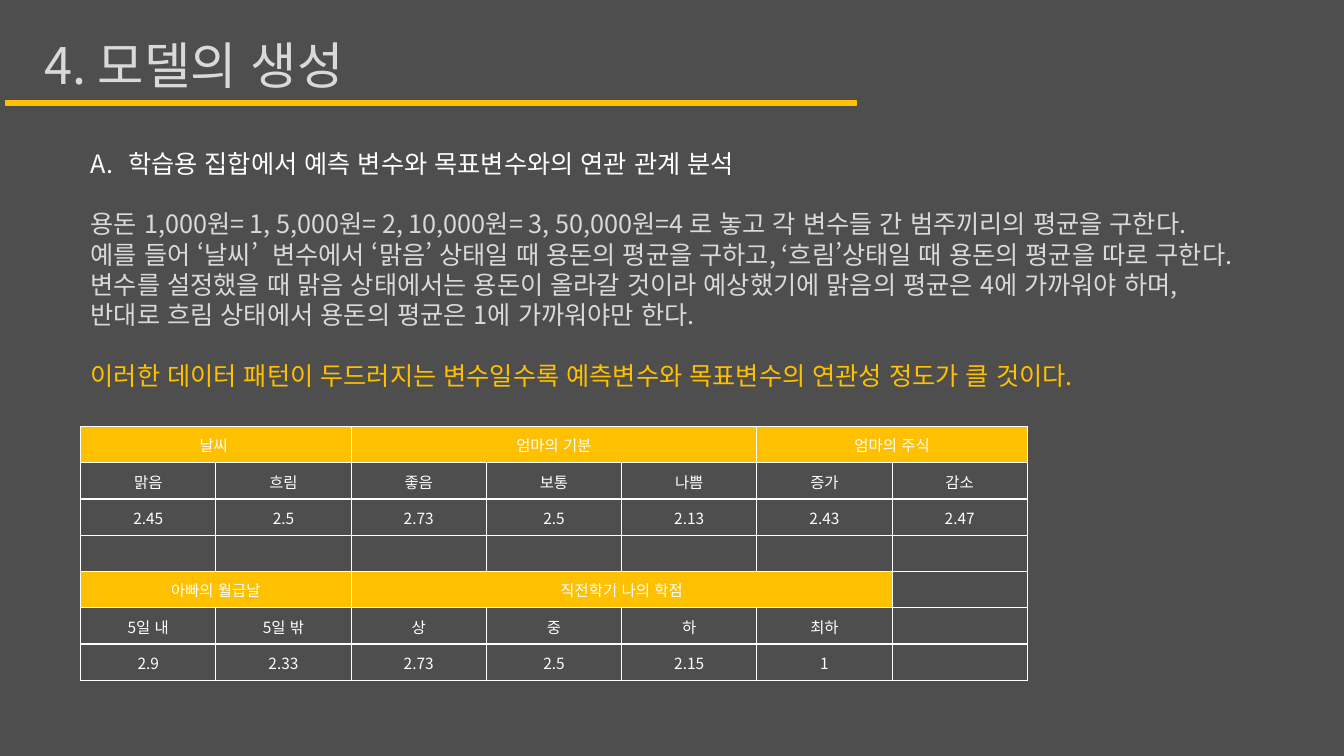
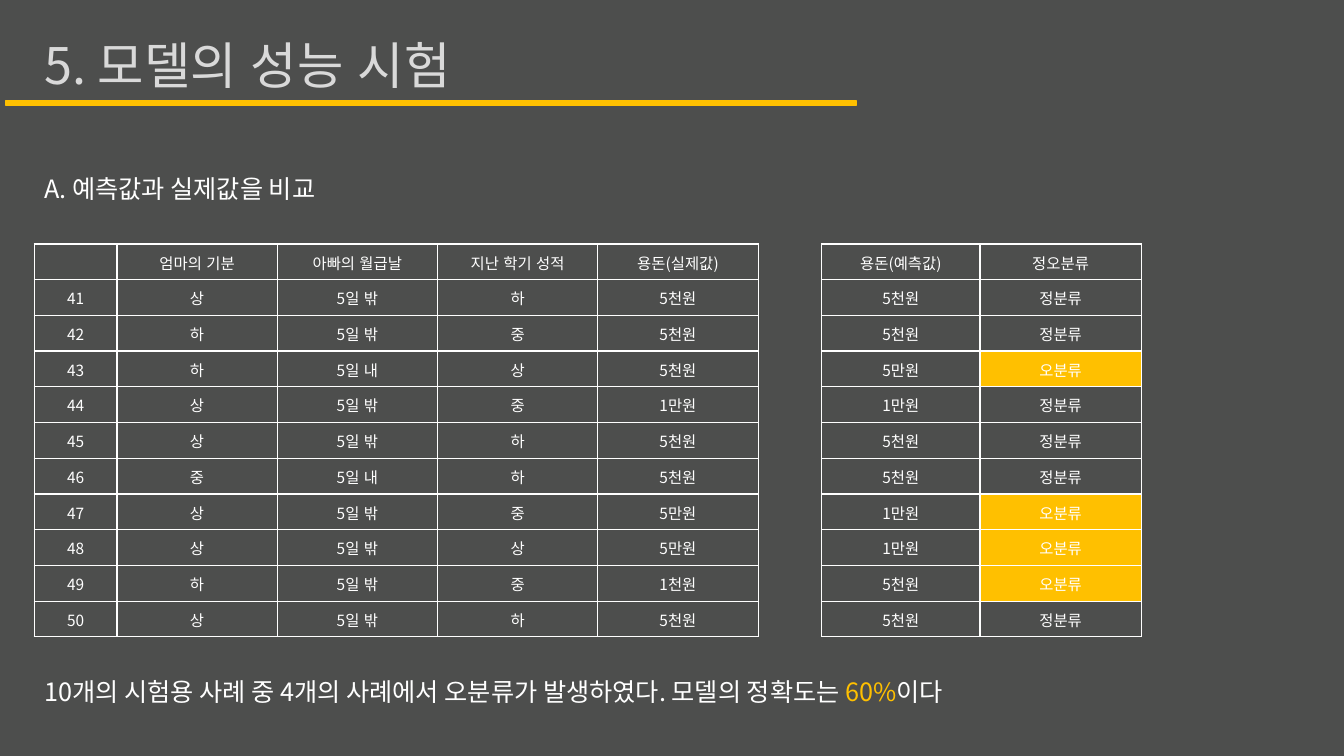
from lxml.etree import SubElement
from pptx import Presentation
from pptx.dml.color import RGBColor
from pptx.enum.lang import MSO_LANGUAGE_ID as LANGUAGE
from pptx.enum.shapes import MSO_SHAPE
from pptx.enum.text import MSO_ANCHOR, MSO_AUTO_SIZE, PP_ALIGN
from pptx.oxml import parse_xml
from pptx.oxml.ns import nsdecls, qn
from pptx.util import Inches, Pt

COLORS = {"background": "4D4E4D", "accent": "FFC000", "soft": "D9D9D9", "white": "FFFFFF"}
FONT = "Noto Sans CJK KR"


def add_text(paragraph, text, size=18, color="white", align=PP_ALIGN.LEFT, before=0,
             language=LANGUAGE.KOREAN):
    paragraph.alignment = align
    paragraph.space_before = Pt(before)
    run = paragraph.add_run()
    run.text = text
    run.font.size = Pt(size)
    run.font.name = FONT
    run.font.language_id = language
    run.font.color.rgb = RGBColor.from_string(COLORS[color])
    SubElement(run.font._element, qn("a:ea"), typeface=FONT)


def add_grid(slide, left, top, widths, row_height, rows, accented, spans=()):
    frame = slide.shapes.add_table(
        len(rows), len(widths), Inches(left), Inches(top),
        Inches(sum(widths)), Inches(row_height * len(rows)))
    grid = frame.table
    grid.first_row = grid.horz_banding = False
    for column, width in zip(grid.columns, widths):
        column.width = Inches(width)
    for r, row in enumerate(rows):
        grid.rows[r].height = Inches(row_height)
        for c, text in enumerate(row):
            cell = grid.cell(r, c)
            cell.margin_left = cell.margin_right = cell.margin_top = Inches(0.01)
            cell.margin_bottom = 0
            cell.vertical_anchor = MSO_ANCHOR.MIDDLE
            for side in ("lnL", "lnR", "lnT", "lnB"):
                cell._tc.get_or_add_tcPr().append(parse_xml(
                    f'<a:{side} {nsdecls("a")} w="12700"><a:solidFill>'
                    f'<a:srgbClr val="{COLORS["white"]}"/></a:solidFill></a:{side}>'))
            if text in accented:
                cell.fill.solid()
                cell.fill.fore_color.rgb = RGBColor.from_string(COLORS["accent"])
            else:
                cell.fill.background()
            if text:
                add_text(cell.text_frame.paragraphs[0], text, size=11, align=PP_ALIGN.CENTER)
    for r, first, last in spans:
        grid.cell(r, first).merge(grid.cell(r, last))


prs = Presentation()
prs.slide_width, prs.slide_height = Inches(13.33), Inches(7.5)
backdrop = prs.slide_master.background.fill
backdrop.solid()
backdrop.fore_color.rgb = RGBColor.from_string(COLORS["background"])

slides = []
for layout, heading in ((1, "4. 모델의 생성"), (5, "5. 모델의 성능 시험")):
    slide = prs.slides.add_slide(prs.slide_layouts[layout])
    slides.append(slide)
    title = slide.shapes.title
    title.left, title.top, title.width, title.height = map(Inches, (0.34, 0.29, 10.83, 0.71))
    title.text_frame.vertical_anchor = MSO_ANCHOR.TOP
    title.text_frame.auto_size = MSO_AUTO_SIZE.SHAPE_TO_FIT_TEXT
    add_text(title.text_frame.paragraphs[0], heading, size=36, color="soft")
    underline = slide.shapes.add_shape(MSO_SHAPE.RECTANGLE, *map(Inches, (0.06, 1, 8.43, 0.05)))
    underline.shadow.inherit = False
    underline.fill.solid()
    underline.fill.fore_color.rgb = RGBColor.from_string(COLORS["accent"])
    underline.line.color.rgb = RGBColor.from_string(COLORS["accent"])
    underline.line.width = Pt(1)
model_slide, test_slide = slides

analysis = model_slide.placeholders[1]
analysis.left, analysis.top, analysis.width, analysis.height = map(Inches, (0.8, 1.42, 11.74, 2.52))
analysis.text_frame.auto_size = MSO_AUTO_SIZE.SHAPE_TO_FIT_TEXT
statements = [
    ("학습용 집합에서 예측 변수와 목표변수와의 연관 관계 분석", "white", 0),
    ("용돈 1,000원= 1, 5,000원= 2, 10,000원= 3, 50,000원=4 로 놓고 각 변수들 간 범주끼리의 평균을 구한다.", "soft", 21.6),
    ("예를 들어 ‘날씨’  변수에서 ‘맑음’ 상태일 때 용돈의 평균을 구하고, ‘흐림’상태일 때 용돈의 평균을 따로 구한다.", "soft", 0),
    ("변수를 설정했을 때 맑음 상태에서는 용돈이 올라갈 것이라 예상했기에 맑음의 평균은 4에 가까워야 하며,", "soft", 0),
    ("반대로 흐림 상태에서 용돈의 평균은 1에 가까워야만 한다.", "soft", 0),
    ("이러한 데이터 패턴이 두드러지는 변수일수록 예측변수와 목표변수의 연관성 정도가 클 것이다.", "accent", 21.6),
]
for i, (statement, color, before) in enumerate(statements):
    paragraph = analysis.text_frame.paragraphs[0] if i == 0 else analysis.text_frame.add_paragraph()
    add_text(paragraph, statement, color=color, before=before)
    properties = paragraph._p.get_or_add_pPr()
    indent = Inches(0.37) if i == 0 else 0
    properties.set("marL", str(indent))
    properties.set("indent", str(-indent))
    if i == 0:
        SubElement(properties, qn("a:buFontTx"))
        SubElement(properties, qn("a:buAutoNum"), type="alphaUcPeriod")
    else:
        SubElement(properties, qn("a:buNone"))

averages = [
    ["날씨 ", "", "엄마의 기분", "", "", "엄마의 주식", ""],
    ["맑음", "흐림", "좋음", "보통", "나쁨", "증가", "감소"],
    ["2.45", "2.5", "2.73", "2.5", "2.13", "2.43", "2.47"],
    [""] * 7,
    ["아빠의 월급날", "", "직전학기 나의 학점", "", "", "", ""],
    ["5일 내", "5일 밖", "상", "중", "하", "최하", ""],
    ["2.9", "2.33", "2.73", "2.5", "2.15", "1", ""],
]
add_grid(model_slide, 0.8, 4.23, [9.39 / 7] * 7, 0.36, averages,
         accented=[name for name in averages[0] + averages[4] if name],
         spans=[(0, 0, 1), (0, 2, 4), (0, 5, 6), (4, 0, 1), (4, 2, 5)])

captions = [
    (1.67, [("A.\u00a0예측값과\u00a0실제값을 비교", "white")]),
    (6.66, [("10개의 시험용 사례 중\u00a04개의 사례에서\u00a0오분류가 발생하였다. 모델의 정확도는\u00a0", "white"),
            ("60%", "accent"), ("이다", "white")]),
]
for top, parts in captions:
    caption = test_slide.shapes.add_textbox(*map(Inches, (0.34, top, 11.74, 0.4))).text_frame
    caption.word_wrap = True
    caption.auto_size = MSO_AUTO_SIZE.SHAPE_TO_FIT_TEXT
    for text, color in parts:
        add_text(caption.paragraphs[0], text, color=color, language=LANGUAGE.ENGLISH_US)

cases = [
    ["", "엄마의 기분", "아빠의 월급날", "지난 학기 성적", "용돈(실제값)"],
    ["41", "상", "5일 밖", "하", "5천원"],
    ["42", "하", "5일 밖", "중", "5천원"],
    ["43", "하", "5일 내", "상", "5천원"],
    ["44", "상", "5일 밖", "중", "1만원"],
    ["45", "상", "5일 밖", "하", "5천원"],
    ["46", "중", "5일 내", "하", "5천원"],
    ["47", "상", "5일 밖", "중", "5만원"],
    ["48", "상", "5일 밖", "상", "5만원"],
    ["49", "하", "5일 밖", "중", "1천원"],
    ["50", "상", "5일 밖", "하", "5천원"],
]
predicted = ["5천원", "5천원", "5만원", "1만원", "5천원", "5천원", "1만원", "1만원", "5천원", "5천원"]
results = [["용돈(예측값)", "정오분류"]]
for case, guess in zip(cases[1:], predicted):
    results.append([guess, "정분류" if guess == case[-1] else "오분류"])
add_grid(test_slide, 0.34, 2.42, [0.82] + [1.59] * 4, 3.9 / 11, cases, accented=[])
add_grid(test_slide, 8.15, 2.42, [1.57, 1.6], 3.9 / 11, results, accented=["오분류"])

prs.save("out.pptx")
